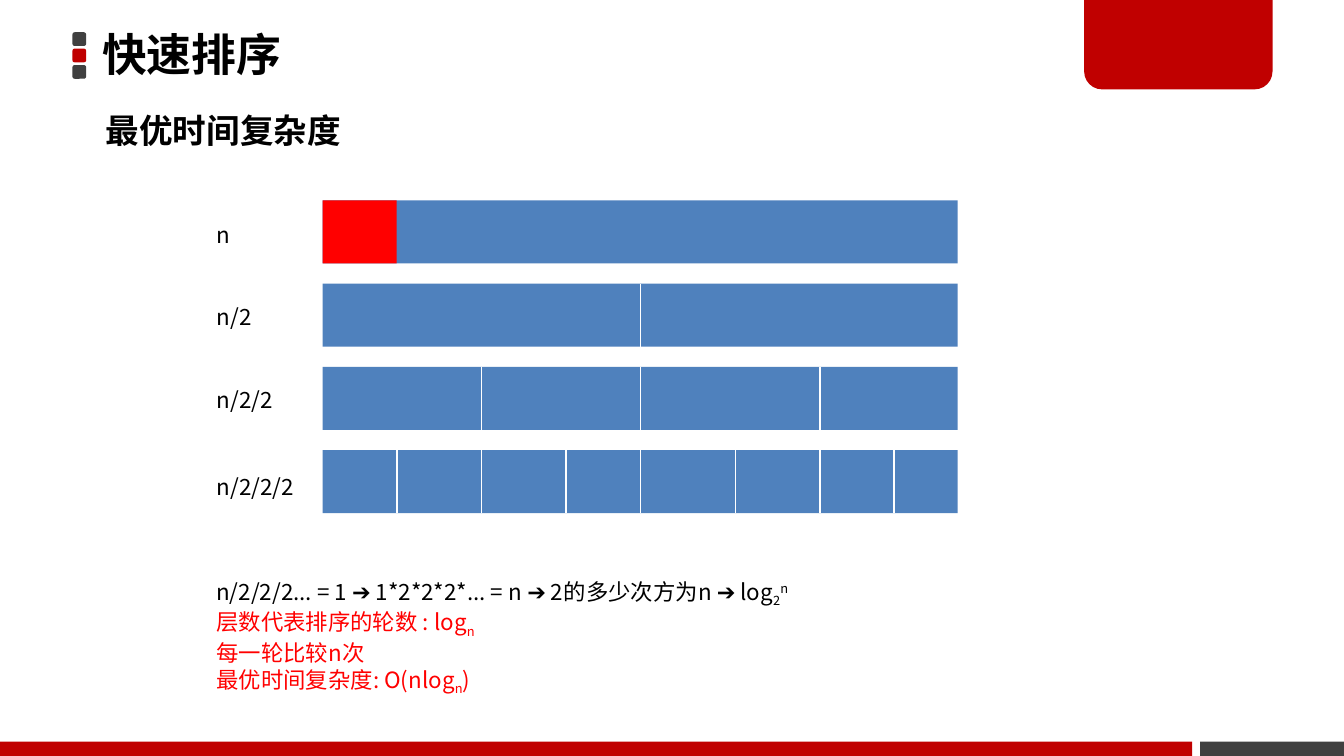
from pptx import Presentation
from pptx.dml.color import RGBColor
from pptx.enum.shapes import MSO_CONNECTOR, MSO_SHAPE
from pptx.enum.text import MSO_ANCHOR, MSO_AUTO_SIZE
from pptx.oxml.ns import qn
from pptx.util import Cm, Pt
from lxml import etree

RECT = MSO_SHAPE.RECTANGLE
ROUNDED = MSO_SHAPE.ROUNDED_RECTANGLE
TAB = MSO_SHAPE.ROUND_2_SAME_RECTANGLE
STRAIGHT = MSO_CONNECTOR.STRAIGHT
MIDDLE = MSO_ANCHOR.MIDDLE
FIT = MSO_AUTO_SIZE.SHAPE_TO_FIT_TEXT

FONT = "Noto Sans CJK SC"
BLACK, WHITE, GRAY = "000000", "FFFFFF", "404040"
CRIMSON, RED, BLUE = "C00000", "FF0000", "4F81BD"
SUB, SUPER = -25000, 30000

LEVELS = [("n", 0.65, 0.78), ("n/2", 0.62, 1.22),
          ("n/2/2", 0.61, 1.65), ("n/2/2/2", 0.68, 2.08)]
CUTS = [1.4, 3, 4.6, 6, 7.8, 9.4, 10.8]
NOTES = [
    (BLACK, [("n/2/2/2... = 1 ➔ 1*2*2*2*... = n ➔ 2的多少次方为n ➔ log", 0),
             ("2", SUB), ("n", SUPER)]),
    (RED, [("层数代表排序的轮数 : log", 0), ("n", SUB)]),
    (RED, [("每一轮比较n次", 0)]),
    (RED, [("最优时间复杂度: O(nlog", 0), ("n", SUB), (")", 0)]),
]


def color(value):
    return RGBColor.from_string(value)


def add_block(s, kind, x, y, w, h, fill):
    sp = s.shapes.add_shape(kind, Cm(x), Cm(y), Cm(w), Cm(h))
    sp.shadow.inherit = False
    sp.fill.solid()
    sp.fill.fore_color.rgb = color(fill)
    sp.line.fill.background()
    return sp


def add_divider(s, x, y, h):
    line = s.shapes.add_connector(STRAIGHT, Cm(x), Cm(y), Cm(x), Cm(y + h))
    line.line.color.rgb = color(WHITE)
    line.line.width = Pt(0.75)
    etree.SubElement(line._element.spPr, qn("a:effectLst"))


def format_run(r, size, value, bold=False):
    r.font.size = Pt(size)
    r.font.bold = bold
    r.font.name = FONT
    r.font.color.rgb = color(value)
    etree.SubElement(r._r.get_or_add_rPr(), qn("a:ea"), typeface=FONT)


def add_text(s, x, y, w, h, text, size, bold=False):
    tf = s.shapes.add_textbox(Cm(x), Cm(y), Cm(w), Cm(h)).text_frame
    tf.word_wrap = False
    tf.auto_size = FIT
    tf.text = text
    format_run(tf.paragraphs[0].runs[0], size, BLACK, bold)
    return tf


def add_frame(s, x, y, w, h):
    for i, fill in enumerate((GRAY, CRIMSON, GRAY)):
        add_block(s, ROUNDED, x + 1.37, y + 0.61 + i * 0.31, 0.26, 0.26, fill)
    tab = add_block(s, TAB, x + w - 4.91, y, 3.56, 1.69, CRIMSON)
    tab.adjustments[0] = 0
    tab.adjustments[1] = 0.2
    bar_y = y + h - 0.27
    add_block(s, RECT, x, bar_y, w - 2.87, 0.27, CRIMSON)
    add_block(s, RECT, x + w - 2.72, bar_y, 2.72, 0.27, GRAY)


def add_headings(s, x, y, w, h):
    tf = add_text(s, x, y, w, h, "快速排序", 24, True)
    tf.word_wrap = True
    tf.auto_size = MSO_AUTO_SIZE.NONE
    tf.vertical_anchor = MIDDLE
    tf.margin_left = tf.margin_right = Cm(0.18)
    tf.margin_top = tf.margin_bottom = Cm(0.1)
    tf.paragraphs[0].line_spacing = 0.9
    add_text(s, x, y + 2, 5, 1.03, "最优时间复杂度", 18, True)


def add_levels(s, x, y, w, h):
    bar_x, bar_w, bar_h = x + 2.25, w - 2.25, 1.19
    pitch = (h - bar_h) / (len(LEVELS) - 1)
    for i, (label, middle, label_w) in enumerate(LEVELS):
        top = y + i * pitch
        add_text(s, x, top + middle - 0.38, label_w, 0.77, label, 12)
        add_block(s, RECT, bar_x, top, bar_w, bar_h, BLUE)
        step = 8 >> i
        for cut in CUTS[step - 1::step]:
            add_divider(s, bar_x + cut, top, bar_h)
    add_block(s, RECT, bar_x, y, CUTS[0], bar_h, RED)


def add_notes(s, x, y, w, h):
    tf = s.shapes.add_textbox(Cm(x), Cm(y), Cm(w), Cm(h)).text_frame
    tf.word_wrap = True
    tf.auto_size = FIT
    for i, (value, parts) in enumerate(NOTES):
        p = tf.add_paragraph() if i else tf.paragraphs[0]
        for text, baseline in parts:
            r = p.add_run()
            r.text = text
            format_run(r, 12, value)
            if baseline:
                r._r.get_or_add_rPr().set("baseline", str(baseline))


def main():
    prs = Presentation()
    prs.slide_width, prs.slide_height = Cm(25.4), Cm(14.29)
    s = prs.slides.add_slide(prs.slide_layouts[6])
    add_frame(s, 0, 0, 25.4, 14.29)
    add_headings(s, 1.75, -0.05, 14.96, 2.26)
    add_levels(s, 3.85, 3.79, 14.25, 5.91)
    add_notes(s, 3.84, 10.8, 12.93, 2.31)
    prs.save("out.pptx")


if __name__ == "__main__":
    main()
